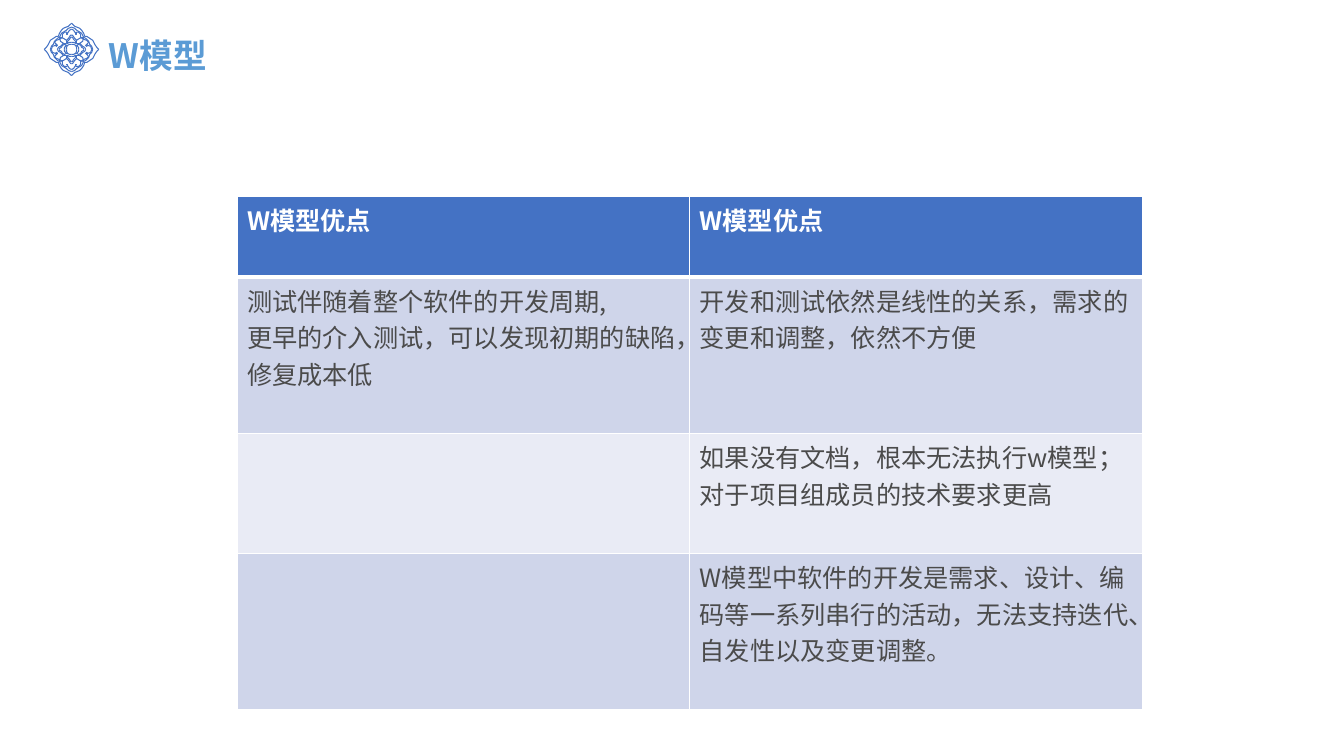
from dataclasses import dataclass

from lxml.etree import SubElement
from pptx import Presentation
from pptx.dml.color import RGBColor
from pptx.enum.text import MSO_ANCHOR, MSO_AUTO_SIZE, PP_ALIGN
from pptx.oxml.ns import qn
from pptx.util import Pt

PX = 9144  # 100 px to the inch

WHITE = RGBColor(0xFF, 0xFF, 0xFF)
BLUE = RGBColor(0x44, 0x72, 0xC4)
SKY = RGBColor(0x5B, 0x9B, 0xD5)
GREY = RGBColor(0x4B, 0x4B, 0x4B)
BAND_DARK = RGBColor(0xCF, 0xD5, 0xEA)
BAND_LIGHT = RGBColor(0xE9, 0xEB, 0xF5)

TITLE_FONT = "Noto Sans CJK JP"
TABLE_FONT = "Noto Sans CJK SC"


@dataclass(frozen=True)
class Row:
    height: int
    fill: RGBColor
    texts: tuple[str, str]
    header: bool = False


ROWS = [
    Row(80, BLUE, ("W模型优点", "W模型优点"), header=True),
    Row(155, BAND_DARK, (
        "测试伴随着整个软件的开发周期,\n更早的介入测试，可以发现初期的缺陷，修复成本低",
        "开发和测试依然是线性的关系，需求的变更和调整，依然不方便",
    )),
    Row(119, BAND_LIGHT, ("", "如果没有文档，根本无法执行w模型；对于项目组成员的技术要求更高")),
    Row(155, BAND_DARK, (
        "",
        "W模型中软件的开发是需求、设计、编码等一系列串行的活动，无法支持迭代、自发性以及变更调整。",
    )),
]
TABLE_LEFT, TABLE_TOP, COLUMN_WIDTH = 235, 195, 449

# Ornament strokes for one quadrant, in px from the centre
ORNAMENT_CENTRE = (71, 49)
ORNAMENT_STROKES = [
    [(27, 0), (25, 2), (23, 5), (21, 9), (18, 11), (15, 13), (13, 13),
     (12, 16), (10, 19), (8, 21), (3, 23), (0, 26)],
    [(21, 0), (20, 3), (18, 5), (17, 8), (14, 11), (12, 12),
     (10, 16), (5, 19), (3, 21), (0, 22)],
    [(20, 0), (19, 3), (16, 4), (15, 5), (17, 7), (15, 9), (12, 10),
     (9, 12), (9, 15), (7, 17), (5, 17), (4, 16), (2, 19), (0, 20)],
    [(14, 0), (13, 2), (11, 3), (8, 6), (11, 8), (12, 12), (8, 11),
     (5, 9), (3, 11), (1, 14), (0, 14)],
    [(12, 0), (12, 1), (10, 2), (9, 4), (7, 5), (5, 4), (7, 2), (7, 0)],
    [(8, 6), (5, 6), (5, 9)],
    [(0, 7), (2, 7), (4, 6), (4, 8), (2, 10), (1, 12), (0, 12)],
    [(5, 0), (5, 2), (4, 4), (2, 5), (0, 5)],
    [(15, 5), (14, 4), (15, 3), (16, 4)],
    [(4, 16), (4, 15), (5, 15), (5, 16)],
]


def style_paragraph(para, font: str, size: int, colour: RGBColor, bold: bool) -> None:
    for span in para.runs:
        span.font.name = font
        span.font.size = Pt(size)
        span.font.bold = bold
        span.font.color.rgb = colour
        SubElement(span.font._element, qn("a:ea"), typeface=font)


def add_borders(cell, header: bool) -> None:
    properties = cell._tc.get_or_add_tcPr()
    for position, side in enumerate(("lnL", "lnR", "lnT", "lnB")):
        points = 3 if header and side == "lnB" else 1
        line = properties.makeelement(qn(f"a:{side}"), {"w": str(Pt(points))})
        properties.insert(position, line)  # borders come before the fill
        solid = SubElement(line, qn("a:solidFill"))
        SubElement(solid, qn("a:srgbClr"), val=str(WHITE))


def add_title(page, text: str) -> None:
    box = page.shapes.title
    box.left, box.top, box.width, box.height = (
        value * PX for value in (98, 12, 335, 65))
    frame = box.text_frame
    frame.text = text
    frame.word_wrap = True
    frame.auto_size = MSO_AUTO_SIZE.NONE
    frame.vertical_anchor = MSO_ANCHOR.MIDDLE
    para = frame.paragraphs[0]
    para.alignment = PP_ALIGN.LEFT
    para.line_spacing = 1.5
    para.space_before = Pt(10)
    style_paragraph(para, TITLE_FONT, 24, SKY, True)


def add_ornament(page) -> None:
    centre_x, centre_y = ORNAMENT_CENTRE
    builder = page.shapes.build_freeform(centre_x, centre_y, scale=PX)
    for sign_x in (1, -1):
        for sign_y in (1, -1):
            for stroke in ORNAMENT_STROKES:
                points = [(centre_x + sign_x * x, centre_y + sign_y * y)
                          for x, y in stroke]
                builder.move_to(*points[0])
                builder.add_line_segments(points[1:], close=False)
    ornament = builder.convert_to_shape()
    ornament.shadow.inherit = False
    ornament.fill.background()
    ornament.line.color.rgb = BLUE
    ornament.line.width = Pt(0.75)


def add_comparison(page) -> None:
    column_count = len(ROWS[0].texts)
    table = page.shapes.add_table(
        len(ROWS), column_count, TABLE_LEFT * PX, TABLE_TOP * PX,
        column_count * COLUMN_WIDTH * PX, sum(row.height for row in ROWS) * PX,
    ).table
    for column in table.columns:
        column.width = COLUMN_WIDTH * PX
    for row_index, row in enumerate(ROWS):
        table.rows[row_index].height = row.height * PX
        for cell, text in zip(table.rows[row_index].cells, row.texts):
            cell.text_frame.text = text
            cell.fill.solid()
            cell.fill.fore_color.rgb = row.fill
            add_borders(cell, row.header)
            for para in cell.text_frame.paragraphs:
                colour = WHITE if row.header else GREY
                style_paragraph(para, TABLE_FONT, 18, colour, row.header)


def main() -> None:
    deck = Presentation()
    deck.slide_width, deck.slide_height = 1333 * PX, 750 * PX
    page = deck.slides.add_slide(deck.slide_layouts.get_by_name("Title Only"))
    add_title(page, "W模型")
    add_ornament(page)
    add_comparison(page)
    deck.save("out.pptx")


if __name__ == "__main__":
    main()
